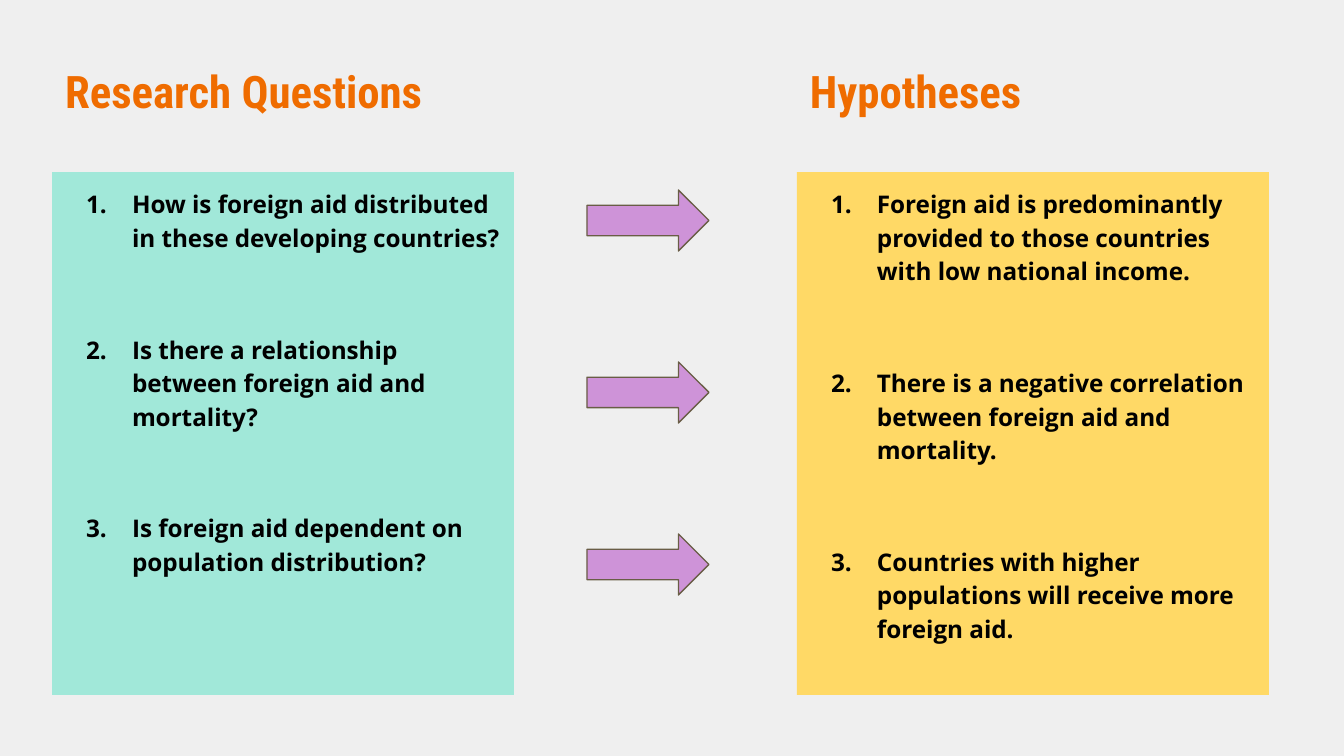
from dataclasses import dataclass

from lxml.etree import SubElement
from pptx import Presentation
from pptx.dml.color import RGBColor as Rgb
from pptx.enum.shapes import MSO_SHAPE as Preset
from pptx.enum.text import MSO_ANCHOR as Anchor, MSO_AUTO_SIZE as AutoSize, PP_ALIGN as Align
from pptx.oxml.ns import qn
from pptx.util import Emu, Pt

"""Research questions on the left lead by arrows to hypotheses on the right."""


@dataclass(frozen=True)
class Theme:
    background: str = "EFEFEF"
    heading: str = "EF6C00"
    ink: str = "000000"
    questions: str = "A1E8D9"
    hypotheses: str = "FFD966"
    arrow: str = "CE93D8"
    arrow_edge: str = "695D46"
    heading_font: str = "Roboto Condensed"
    list_font: str = "Open Sans"
    heading_size: int = 24
    list_size: int = 13


THEME = Theme()
SCALE = 9144000 / 1344


def px(length):
    return Emu(round(length * SCALE))


def fit(placeholder, left, top, width, height, anchor):
    placeholder.left, placeholder.top = px(left), px(top)
    placeholder.width, placeholder.height = px(width), px(height)
    frame = placeholder.text_frame
    frame.word_wrap = True
    frame.auto_size = AutoSize.NONE
    frame.vertical_anchor = anchor
    frame.margin_left = frame.margin_right = px(13)
    frame.margin_top = frame.margin_bottom = px(13)
    return frame


deck = Presentation()
deck.slide_width, deck.slide_height = px(1344), px(756)
slide = deck.slides.add_slide(deck.slide_layouts[4])
slide.background.fill.solid()
slide.background.fill.fore_color.rgb = Rgb.from_string(THEME.background)
parts = {part.placeholder_format.idx: part for part in slide.placeholders}

columns = [
    (0, 2, 52, 462, THEME.questions, "Research Questions", [
        "How is foreign aid distributed in these developing countries?",
        "Is there a relationship between foreign aid and mortality?",
        "Is foreign aid dependent on population distribution?",
    ]),
    (3, 4, 797, 472, THEME.hypotheses, "Hypotheses", [
        "Foreign aid is predominantly provided to those countries with low national income.",
        "There is a negative correlation between foreign aid and mortality.",
        "Countries with higher populations will receive more foreign aid.",
    ]),
]

for heading_idx, list_idx, left, width, fill, heading, items in columns:
    heading_frame = fit(parts[heading_idx], left, 19, 413, 112, Anchor.BOTTOM)
    heading_frame.text = heading
    heading_line = heading_frame.paragraphs[0]
    heading_line.alignment = Align.LEFT
    heading_line.space_before = Pt(0)
    heading_font = heading_line.runs[0].font
    heading_font.name = THEME.heading_font
    heading_font.size = Pt(THEME.heading_size)
    heading_font.bold = True
    heading_font.color.rgb = Rgb.from_string(THEME.heading)

    panel = parts[list_idx]
    panel.fill.solid()
    panel.fill.fore_color.rgb = Rgb.from_string(fill)
    list_frame = fit(panel, left, 172, width, 523, Anchor.TOP)
    list_frame.text = "\n".join(items)
    for position, item in enumerate(list_frame.paragraphs):
        item.alignment = Align.LEFT
        item.line_spacing = 1.15
        item.space_before = Pt(42 if position else 0)
        item.space_after = Pt(0)
        item_font = item.runs[0].font
        item_font.name = THEME.list_font
        item_font.size = Pt(THEME.list_size)
        item_font.bold = True
        item_font.color.rgb = Rgb.from_string(THEME.ink)
        numbering = item._p.get_or_add_pPr()
        numbering.set("marL", str(px(67)))
        numbering.set("indent", str(px(-46)))
        number_color = SubElement(numbering, qn("a:buClr"))
        SubElement(number_color, qn("a:srgbClr"), val=THEME.ink)
        SubElement(numbering, qn("a:buFont"), typeface=THEME.list_font)
        SubElement(numbering, qn("a:buAutoNum"), type="arabicPeriod")

unused = parts[1].element
unused.getparent().remove(unused)

for row in range(3):
    arrow = slide.shapes.add_shape(
        Preset.RIGHT_ARROW, px(587), px(190 + 172 * row), px(122), px(61))
    arrow.shadow.inherit = False
    arrow.fill.solid()
    arrow.fill.fore_color.rgb = Rgb.from_string(THEME.arrow)
    arrow.line.color.rgb = Rgb.from_string(THEME.arrow_edge)
    arrow.line.width = Pt(0.75)

deck.save("out.pptx")
